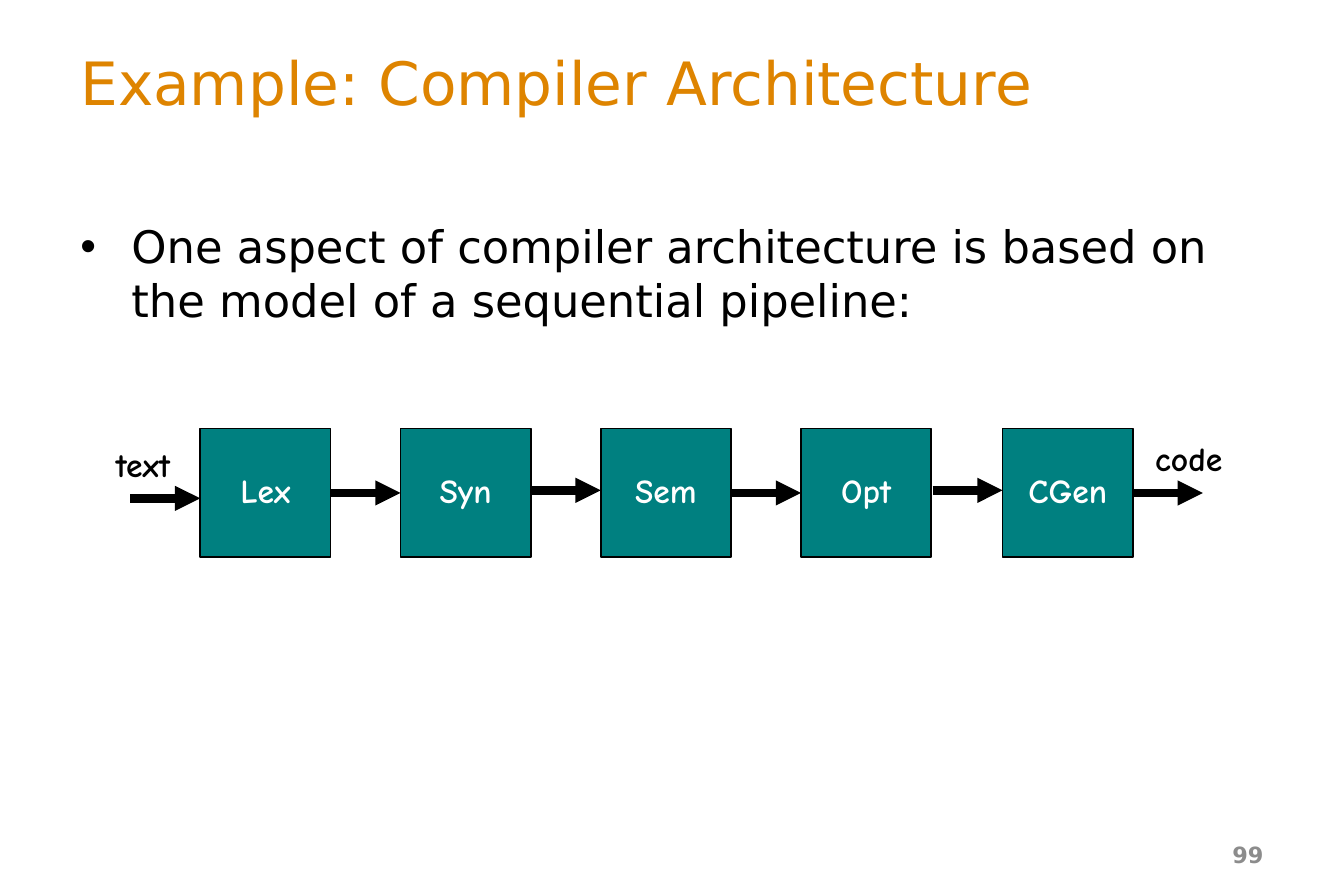
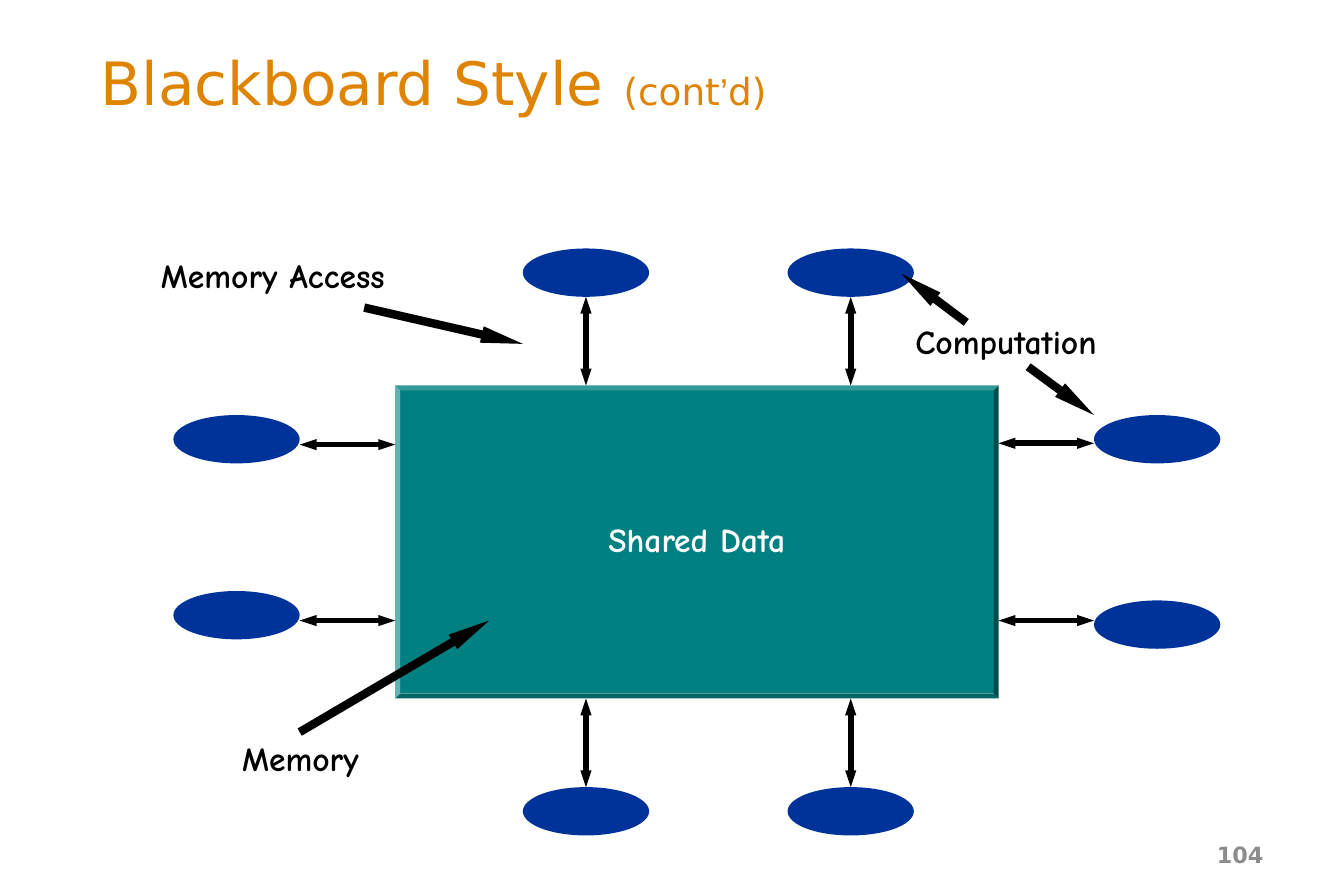
from lxml.etree import SubElement
from pptx import Presentation
from pptx.dml.color import RGBColor
from pptx.enum.shapes import MSO_CONNECTOR, MSO_SHAPE
from pptx.enum.text import MSO_ANCHOR, MSO_AUTO_SIZE, PP_ALIGN
from pptx.oxml.ns import qn
from pptx.util import Pt

PX = 9144  # 100 px to the inch

ORANGE = RGBColor(0xDE, 0x84, 0x00)
TEAL = RGBColor(0x00, 0x80, 0x80)
BLUE = RGBColor(0x00, 0x33, 0x99)
GREY = RGBColor(0x8C, 0x8C, 0x8C)
BLACK = RGBColor(0, 0, 0)
WHITE = RGBColor(255, 255, 255)

BODY_FONT = "DejaVu Sans"
DIAGRAM_FONT = "Comic Neue"

# Pipeline slide
PIPELINE_TITLE = [("Example: Compiler Architecture", 32, BODY_FONT)]
PIPELINE_POINT = ("One aspect of compiler architecture is based on "
                  "the model of a sequential pipeline:")
STAGES = ["Lex", "Syn", "Sem", "Opt", "CGen"]
FLOW_HEIGHTS = [371, 367, 365, 367, 365, 367]  # one arrow before each stage, one after
PIPELINE_LABELS = [("text", 70, 328, 73), ("code", 847, 324, 75)]

# Blackboard slide
BLACKBOARD_TITLE = [("Blackboard Style ", 32, BODY_FONT), ("(cont", 20, BODY_FONT),
                    ("’", 20, "Arial"), ("d)", 20, BODY_FONT)]
BOARD = (294, 287, 449, 233)
COMPUTATION_SIZE = (94, 36)
COLUMN_CENTRES = [436, 633]
LEFT_ROWS = [(309, 331), (440, 462)]   # computation top, access height
RIGHT_ROWS = [(309, 330), (447, 462)]
BLACKBOARD_LABELS = [("Memory", 166, 547, 115), ("Memory Access", 98, 188, 210),
                     ("Computation", 665, 237, 167)]
POINTERS = [((271, 229), (389, 256)), ((765, 273), (814, 309)),
            ((719, 240), (671, 204)), ((223, 545), (364, 462))]


def px(*lengths):
    return [length * PX for length in lengths]


def style(run, size, font, color, bold=False):
    run.font.size = Pt(size)
    run.font.name = font
    run.font.color.rgb = color
    run.font.bold = bold


def add_box(slide, *box):
    frame = slide.shapes.add_textbox(*px(*box)).text_frame
    frame.word_wrap = True
    return frame


def diagram_text(frame, text, color):
    frame.word_wrap = False
    frame.vertical_anchor = MSO_ANCHOR.MIDDLE
    paragraph = frame.paragraphs[0]
    paragraph.text = text
    paragraph.alignment = PP_ALIGN.CENTER
    paragraph.line_spacing = 0.9
    style(paragraph.runs[0], 18, DIAGRAM_FONT, color, bold=True)


def add_labels(slide, labels):
    for text, left, top, width in labels:
        frame = add_box(slide, left, top, width, 38)
        diagram_text(frame, text, BLACK)
        frame.auto_size = MSO_AUTO_SIZE.SHAPE_TO_FIT_TEXT


def add_block(slide, kind, box, fill, text="", outlined=False):
    block = slide.shapes.add_shape(kind, *px(*box))
    block.shadow.inherit = False
    block.fill.solid()
    block.fill.fore_color.rgb = fill
    if outlined:
        block.line.color.rgb = BLACK
        block.line.width = Pt(1)
    else:
        block.line.fill.background()
    if text:
        diagram_text(block.text_frame, text, WHITE)
    return block


def add_arrow(slide, start, end, weight=4.5, width="med", length="med", both=False):
    arrow = slide.shapes.add_connector(MSO_CONNECTOR.STRAIGHT, *px(*start, *end))
    arrow.line.color.rgb = BLACK
    arrow.line.width = Pt(weight)
    line = arrow.line._get_or_add_ln()
    for tip in ("a:headEnd", "a:tailEnd") if both else ("a:tailEnd",):
        SubElement(line, qn(tip), type="triangle", w=width, len=length)
    SubElement(arrow._element.spPr, qn("a:effectLst"))


def add_access(slide, start, end):
    add_arrow(slide, start, end, weight=3, width="sm", both=True)


def add_computation(slide, left, top):
    add_block(slide, MSO_SHAPE.OVAL, (left, top, *COMPUTATION_SIZE), BLUE)


def new_slide(deck, title, number, title_inset=10):
    slide = deck.slides.add_slide(deck.slide_layouts[6])
    frame = add_box(slide, 50, 27, 900, 68)
    frame.vertical_anchor = MSO_ANCHOR.MIDDLE
    frame.margin_left = title_inset * PX
    for text, size, font in title:
        run = frame.paragraphs[0].add_run()
        run.text = text
        style(run, size, font, ORANGE)

    frame = add_box(slide, 717, 618, 233, 36)
    frame.vertical_anchor = MSO_ANCHOR.MIDDLE
    frame.text = str(number)
    frame.paragraphs[0].alignment = PP_ALIGN.RIGHT
    style(frame.paragraphs[0].runs[0], 12, BODY_FONT, GREY, bold=True)
    return slide


def build_pipeline(deck):
    slide = new_slide(deck, PIPELINE_TITLE, 99)

    # Bullet point
    frame = add_box(slide, 50, 111, 900, 485)
    frame.margin_top = 52 * PX
    point = frame.paragraphs[0]
    point.text = PIPELINE_POINT
    properties = point._p.get_or_add_pPr()
    properties.set("marL", str(38 * PX))
    properties.set("indent", str(-38 * PX))
    SubElement(properties, qn("a:buFont"), typeface="Arial")
    SubElement(properties, qn("a:buChar"), char="•")
    style(point.runs[0], 24, BODY_FONT, BLACK)

    # Stages and the flow between them
    first, width, gap = 149, 97, 52
    lefts = [first + i * 597 // 4 for i in range(len(STAGES) + 1)]
    for stage, left in zip(STAGES, lefts):
        add_block(slide, MSO_SHAPE.RECTANGLE, (left, 319, width, 96), TEAL, stage, outlined=True)
    for left, height in zip(lefts, FLOW_HEIGHTS):
        add_arrow(slide, (left - gap, height), (left, height))
    add_labels(slide, PIPELINE_LABELS)


def build_blackboard(deck):
    slide = new_slide(deck, BLACKBOARD_TITLE, 104, title_inset=25)
    left, top, width, height = BOARD
    right, bottom = left + width, top + height
    oval_width, oval_height = COMPUTATION_SIZE

    # Shared memory
    board = add_block(slide, MSO_SHAPE.BEVEL, BOARD, TEAL, "Shared Data")
    board.adjustments[0] = 0.016

    # Computations above and below
    reach = 66
    for centre in COLUMN_CENTRES:
        oval_left = centre - oval_width // 2
        add_computation(slide, oval_left, top - reach - oval_height)
        add_computation(slide, oval_left, bottom + reach)
        add_access(slide, (centre, top), (centre, top - reach))
        add_access(slide, (centre, bottom + reach), (centre, bottom))

    # Computations on either side
    reach = 71
    for oval_top, access in LEFT_ROWS:
        add_computation(slide, left - reach - oval_width, oval_top)
        add_access(slide, (left, access), (left - reach, access))
    for oval_top, access in RIGHT_ROWS:
        add_computation(slide, right + reach, oval_top)
        add_access(slide, (right + reach, access), (right, access))

    # Explanations
    add_labels(slide, BLACKBOARD_LABELS)
    for start, end in POINTERS:
        add_arrow(slide, start, end, width="sm", length="lg")


def main():
    deck = Presentation()
    deck.slide_width, deck.slide_height = px(1000, 667)
    build_pipeline(deck)
    build_blackboard(deck)
    deck.save("out.pptx")


if __name__ == "__main__":
    main()
